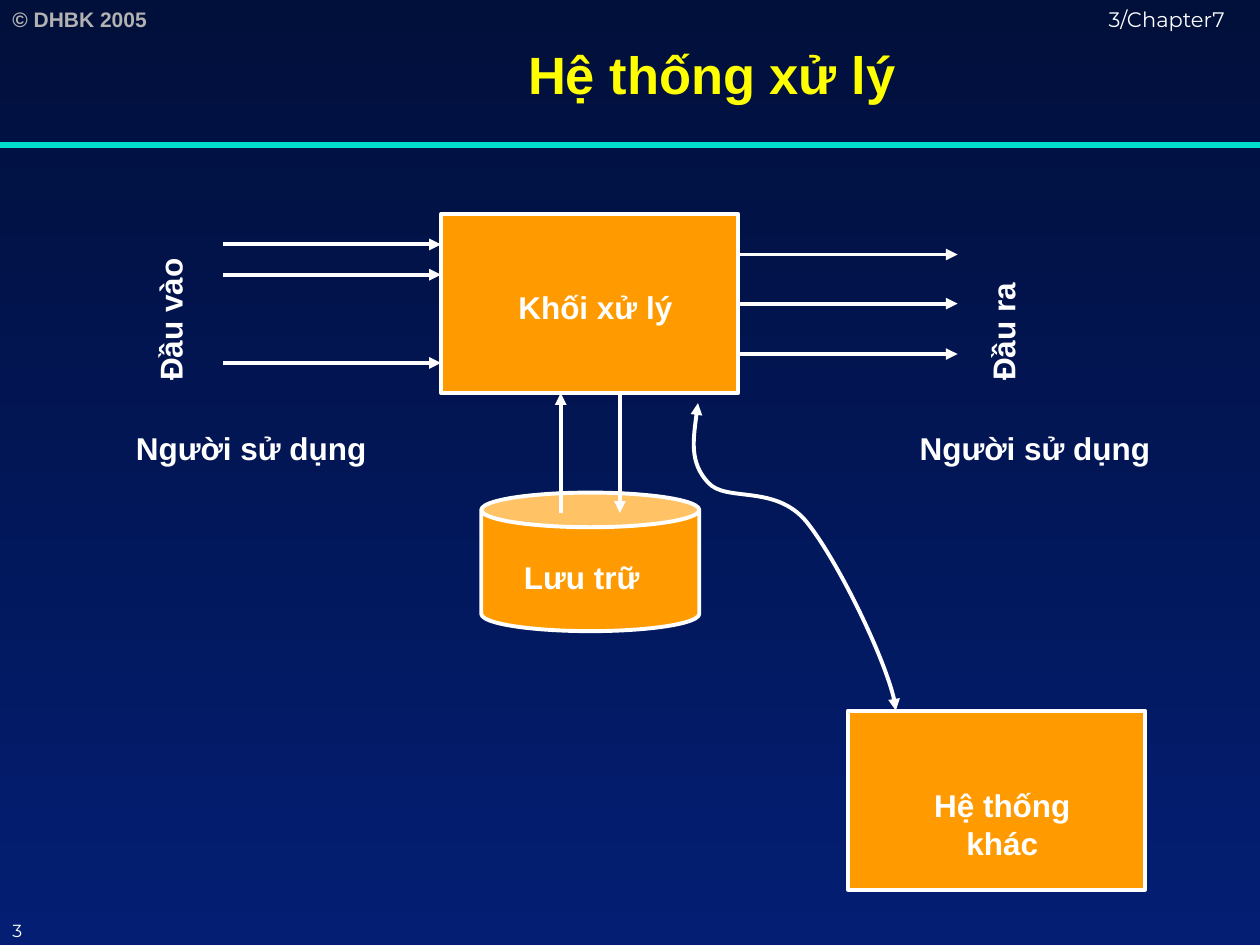
"""Build the processing system diagram slide."""
from lxml import etree
from pptx import Presentation
from pptx import util as u
from pptx.dml.color import RGBColor
from pptx.enum import shapes, text
from pptx.oxml import ns

COLORS = {
    "top": "010F3B", "bottom": "031E73", "rule": "00DFCA", "block": "FF9B00",
    "white": "FFFFFF", "title": "FFFF00", "credit": "B2B2B2",
}


def rgb(name):
    return RGBColor.from_string(COLORS[name])


def format_font(paragraph, size, color, bold=True, name="Arial"):
    font = paragraph.font
    font.name, font.size, font.bold = name, u.Pt(size), bold
    font.color.rgb = rgb(color)


def set_background(slide):
    fill = slide.background.fill
    fill.gradient()
    fill.gradient_angle = 270
    for stop, name in zip(fill.gradient_stops, ("top", "bottom")):
        stop.color.rgb = rgb(name)


def set_title(slide, wording):
    title = slide.shapes.title
    title.left, title.top = u.Inches(1.3), u.Inches(0)
    title.width, title.height = u.Inches(8.7), u.Inches(1.17)
    title.text_frame.vertical_anchor = text.MSO_ANCHOR.MIDDLE
    title.text_frame.text = wording
    paragraph = title.text_frame.paragraphs[0]
    paragraph.alignment = text.PP_ALIGN.CENTER
    format_font(paragraph, 30, "title")


def add_label(slide, wording, box, size=18, color="white", bold=True,
              name="Arial", align=text.PP_ALIGN.LEFT, rotation=0):
    label = slide.shapes.add_textbox(*map(u.Inches, box))
    label.rotation = rotation
    label.text_frame.word_wrap = True
    label.text_frame.text = wording
    paragraph = label.text_frame.paragraphs[0]
    paragraph.alignment = align
    format_font(paragraph, size, color, bold, name)


def style_line(line, color="white", width=2.25):
    line.color.rgb = rgb(color)
    line.width = u.Pt(width)


def add_arrowheads(shape, *ends):
    outline = shape.line._get_or_add_ln()
    for end in ends:
        etree.SubElement(outline, ns.qn(f"a:{end}"), type="triangle")


def add_block(slide, kind, box):
    block = slide.shapes.add_shape(kind, *map(u.Inches, box))
    block.shadow.inherit = False
    block.fill.solid()
    block.fill.fore_color.rgb = rgb("block")
    style_line(block.line)


def add_line(slide, start, end, color="white", width=2.25):
    line = slide.shapes.add_connector(
        shapes.MSO_CONNECTOR.STRAIGHT, *map(u.Inches, (*start, *end)))
    etree.SubElement(line.element.spPr, ns.qn("a:effectLst"))
    style_line(line.line, color, width)
    return line


def add_arrow(slide, start, end):
    add_arrowheads(add_line(slide, start, end), "tailEnd")


def add_curved_arrow(slide, start, controls):
    """Draw a two-headed cubic curve; each segment takes three points."""
    builder = slide.shapes.build_freeform(*map(u.Inches, start))
    builder.add_line_segments(
        [(u.Inches(x), u.Inches(y)) for x, y in controls], close=False)
    curve = builder.convert_to_shape()
    curve.shadow.inherit = False
    curve.fill.background()
    style_line(curve.line)
    add_arrowheads(curve, "headEnd", "tailEnd")
    outline = curve.element.find(f".//{ns.qn('a:path')}")
    segments = outline.findall(ns.qn("a:lnTo"))
    for index in range(0, len(segments), 3):
        bezier = etree.SubElement(outline, ns.qn("a:cubicBezTo"))
        for segment in segments[index:index + 3]:
            bezier.append(segment[0])
            outline.remove(segment)


def main():
    presentation = Presentation()
    presentation.slide_width = u.Inches(10)
    presentation.slide_height = u.Inches(7.5)
    slide = presentation.slides.add_slide(presentation.slide_layouts[5])
    set_background(slide)
    set_title(slide, "Hệ thống xử lý")

    add_line(slide, (0, 1.15), (10, 1.15), "rule", 3)
    add_label(slide, "© DHBK 2005", (0, 0, 1.45, 0.3), 12, "credit")
    add_label(slide, "3/Chapter7", (8.7, 0, 1.3, 0.28), 12, bold=False, name="Montserrat")
    add_label(slide, "3", (0, 7.25, 0.67, 0.25), 10, bold=False, name="Montserrat")

    add_block(slide, shapes.MSO_SHAPE.CAN, (3.82, 3.91, 1.73, 1.1))
    for left, top in ((3.5, 1.7), (6.73, 5.64)):
        add_block(slide, shapes.MSO_SHAPE.RECTANGLE, (left, top, 2.36, 1.42))

    for y in (1.94, 2.18, 2.88):
        add_arrow(slide, (1.77, y), (3.5, y))
    for y in (2.02, 2.41, 2.81):
        add_arrow(slide, (5.87, y), (7.6, y))
    add_arrow(slide, (4.45, 4.07), (4.45, 3.12))
    add_arrow(slide, (4.92, 3.12), (4.92, 4.07))
    add_curved_arrow(slide, (5.54, 3.2), [
        (5.51, 3.43), (5.47, 3.67), (5.62, 3.83),
        (5.76, 3.99), (6.15, 3.84), (6.4, 4.14),
        (6.65, 4.45), (7.1, 5.38), (7.11, 5.64)])

    for wording, left in (("Đầu vào", 0.6), ("Đầu ra", 7.21)):
        add_label(slide, wording, (left, 2.17, 1.5, 0.4), rotation=270)
    for left in (0.98, 7.2):
        add_label(slide, "Người sử dụng", (left, 3.36, 2.21, 0.4))
    add_label(slide, "Lưu trữ", (4.06, 4.38, 1.34, 0.4))
    center = text.PP_ALIGN.CENTER
    add_label(slide, "Khối xử lý", (3.82, 2.24, 1.81, 0.4), align=center)
    add_label(slide, "Hệ thống khác", (7.05, 6.19, 1.81, 0.7), align=center)

    presentation.save("out.pptx")


if __name__ == "__main__":
    main()
